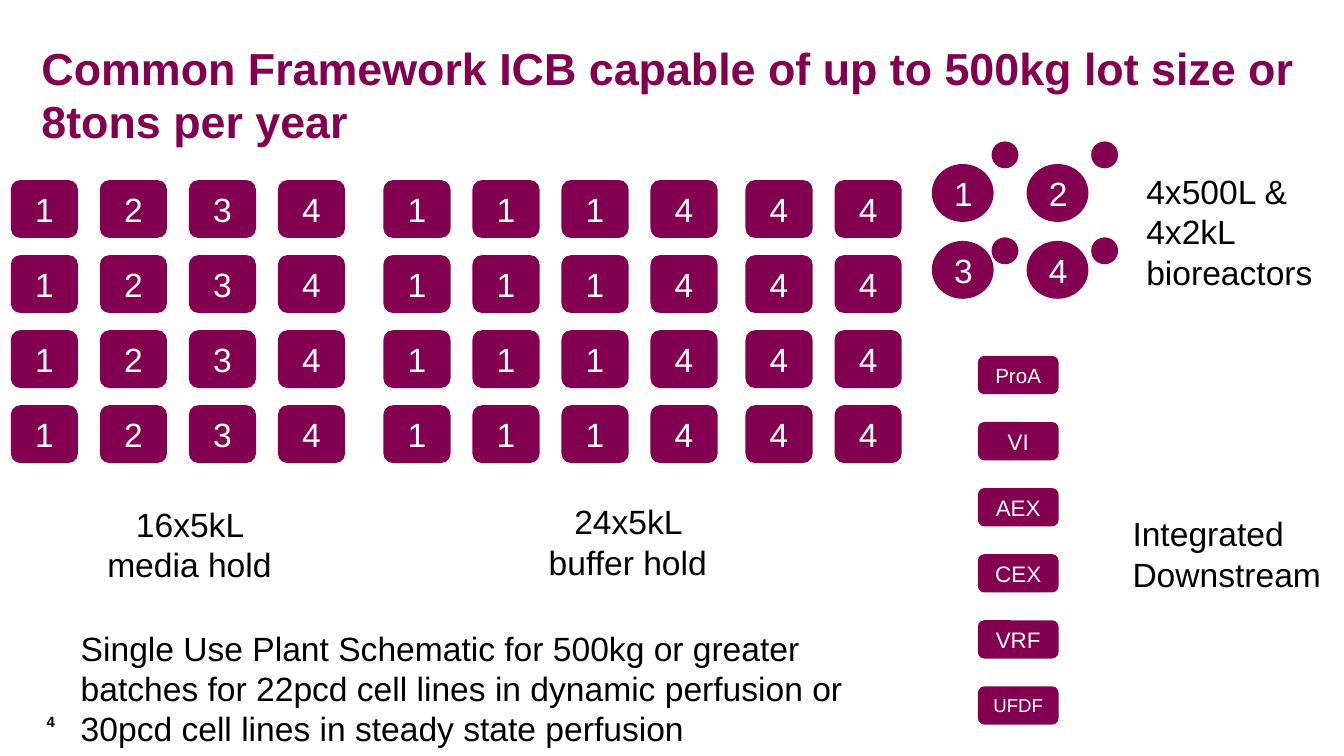
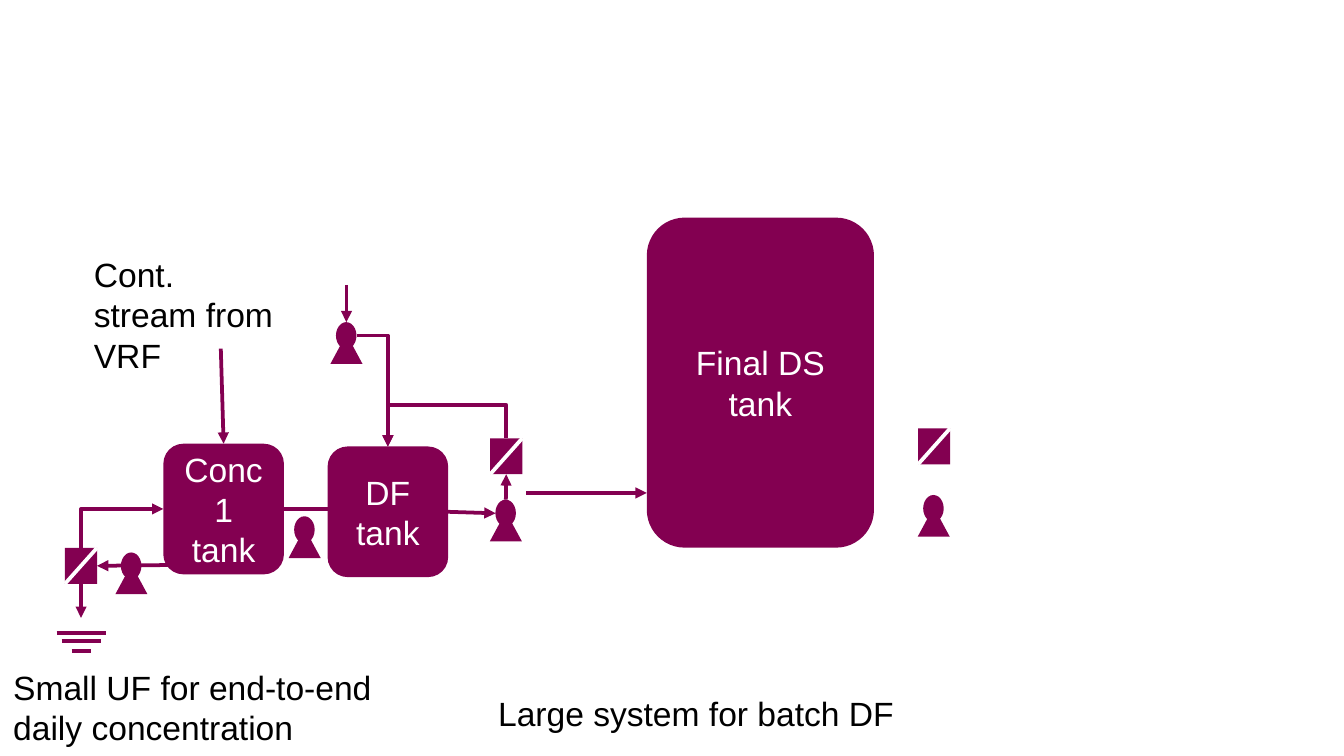
from lxml import etree
from pptx import Presentation
from pptx.dml.color import RGBColor
from pptx.enum.shapes import MSO_CONNECTOR, MSO_SHAPE
from pptx.enum.text import MSO_ANCHOR, PP_ALIGN
from pptx.oxml.ns import qn
from pptx.util import Pt

COLORS = {"plum": "830051", "white": "FFFFFF", "black": "000000"}
FONT = "Arial"
ROUND, OVAL = MSO_SHAPE.ROUNDED_RECTANGLE, MSO_SHAPE.OVAL
RECT, TRIANGLE = MSO_SHAPE.RECTANGLE, MSO_SHAPE.ISOSCELES_TRIANGLE
STRAIGHT, ELBOW = MSO_CONNECTOR.STRAIGHT, MSO_CONNECTOR.ELBOW
LEFT, CENTER = PP_ALIGN.LEFT, PP_ALIGN.CENTER
TOP, MIDDLE = MSO_ANCHOR.TOP, MSO_ANCHOR.MIDDLE
TOP_SIDE, BOTTOM_SIDE, RIGHT_SIDE = 0, 2, 3
HOLD_W, HOLD_H, HOLD_DX, HOLD_DY = 36, 31, 47.7, 40.2


def rgb(name):
    """Return a named palette colour."""
    return RGBColor.from_string(COLORS[name])


def write(tf, text, size, color="black", bold=False, align=LEFT, anchor=TOP, inset=None):
    """Fill a text frame and format its runs."""
    tf.word_wrap = True
    tf.vertical_anchor = anchor
    if inset is not None:
        tf.margin_left = tf.margin_right = tf.margin_top = tf.margin_bottom = Pt(inset)
    tf.text = text
    for p in tf.paragraphs:
        p.alignment = align
        for r in p.runs:
            r.font.name, r.font.size, r.font.bold = FONT, Pt(size), bold
            r.font.color.rgb = rgb(color)


def add_title(s, text):
    """Place and format the slide title."""
    title = s.shapes.title
    title.left, title.top, title.width, title.height = Pt(15), Pt(18), Pt(690.5), Pt(39.6)
    write(title.text_frame, text, 24, "plum", bold=True)


def add_label(shapes, text, x, y, w, h, size=18, **style):
    """Add a text box."""
    box = shapes.add_textbox(Pt(x), Pt(y), Pt(w), Pt(h))
    write(box.text_frame, text, size, **style)


def add_block(shapes, kind, x, y, w, h, text="", size=18, inset=None):
    """Add a plum shape with optional centred white text."""
    sp = shapes.add_shape(kind, Pt(x), Pt(y), Pt(w), Pt(h))
    sp.shadow.inherit = False
    sp.fill.solid()
    sp.fill.fore_color.rgb = rgb("plum")
    sp.line.fill.background()
    if text:
        write(sp.text_frame, text, size, "white", align=CENTER, anchor=MIDDLE, inset=inset)
    return sp


def add_line(shapes, x1, y1, x2, y2, color="plum", arrow=False, kind=STRAIGHT):
    """Add a two-point line, with an arrowhead at its end if asked."""
    line = shapes.add_connector(kind, Pt(x1), Pt(y1), Pt(x2), Pt(y2))
    line.line.color.rgb = rgb(color)
    line.line.width = Pt(2)
    if arrow:
        etree.SubElement(line.line._get_or_add_ln(), qn("a:tailEnd"), type="triangle")
    etree.SubElement(line._element.spPr, qn("a:effectLst"))
    return line


def add_elbow(shapes, x1, y1, x2, y2, rotation=0, preset="bentConnector2", adjust=None):
    """Add a bent arrow, given by its corners before rotation."""
    elbow = add_line(shapes, x1, y1, x2, y2, arrow=True, kind=ELBOW)
    elbow.rotation = rotation
    geometry = elbow._element.spPr.find(qn("a:prstGeom"))
    geometry.set("prst", preset)
    if adjust is not None:
        guides = geometry.find(qn("a:avLst"))
        etree.SubElement(guides, qn("a:gd"), name="adj1", fmla=f"val {adjust}")


def add_holds(s, x, columns):
    """Add four rows of hold tanks, one column per character."""
    shapes = s.shapes.add_group_shape().shapes
    for col, number in enumerate(columns):
        for row in range(4):
            add_block(shapes, ROUND, x + col * HOLD_DX, 96.5 + row * HOLD_DY,
                      HOLD_W, HOLD_H, number)


def add_pump(s, x, y):
    """Add a pump: a round head on a triangular foot."""
    shapes = s.shapes.add_group_shape().shapes
    add_block(shapes, OVAL, x + 3, y, 11, 14.4)
    add_block(shapes, TRIANGLE, x, y + 6.4, 17.2, 16)


def add_filter(s, x, y):
    """Add a filter: a square cut by a white diagonal."""
    shapes = s.shapes.add_group_shape().shapes
    body = add_block(shapes, RECT, x, y, 17.2, 19.3)
    add_line(shapes, x + 17.2, y, x, y + 19.3, "white")
    return body


def build_plant(prs):
    """Build the plant schematic slide."""
    s = prs.slides.add_slide(prs.slide_layouts[5])
    add_title(s, "Common Framework ICB capable of up to 500kg lot size or 8tons per year")
    add_label(s.shapes, "4", 25, 381.6, 31, 13, size=8, bold=True, inset=0)

    reactors = s.shapes.add_group_shape().shapes
    for i in range(4):
        row, col = divmod(i, 2)
        add_block(reactors, OVAL, 499.2 + col * 50.8, 87.9 + row * 41.2, 33.1, 31, str(i + 1))
        add_block(s.shapes, OVAL, 531.2 + col * 53.4, 75.8 + row * 51.4, 14.4, 14.4)

    steps = [("ProA", 11), ("VI", 12), ("AEX", 12), ("CEX", 12), ("VRF", 12), ("UFDF", 10)]
    for i, (step, size) in enumerate(steps):
        add_block(s.shapes, ROUND, 523.9, 190.7 + i * 35.4, 43.2, 20.5, step, size, inset=2)

    for x, columns in [(5.8, "1234"), (205.4, "1114"), (399.4, "44")]:
        add_holds(s, x, columns)

    add_label(s.shapes, "4x500L &\n4x2kL bioreactors", 607, 88, 106, 72.7)
    add_label(s.shapes, "Integrated Downstream", 599.6, 271.4, 121, 51)
    add_label(s.shapes, "16x5kL media hold", 41, 266.4, 121, 51, align=CENTER)
    add_label(s.shapes, "24x5kL buffer hold", 275.8, 265, 121, 51, align=CENTER)
    add_label(s.shapes, "Single Use Plant Schematic for 500kg or greater batches for 22pcd cell "
              "lines in dynamic perfusion or 30pcd cell lines in steady state perfusion",
              36.2, 332.6, 422.6, 72.7)


def build_filtration(prs):
    """Build the ultrafiltration and diafiltration flow slide."""
    s = prs.slides.add_slide(prs.slide_layouts[6])
    shapes = s.shapes
    conc = add_block(shapes, ROUND, 87.5, 237.7, 64.6, 70, "Conc 1 tank")
    transfer = add_line(shapes, 152.1, 272.7, 196.6, 272.7, arrow=True)
    transfer.begin_connect(conc, RIGHT_SIDE)
    df = add_block(shapes, ROUND, 175.5, 239.2, 64.6, 70, "DF tank")
    add_block(shapes, ROUND, 346.5, 116.6, 121.7, 176.8, "Final DS tank")

    uf_filter = add_filter(s, 34.8, 293.5)
    df_filter = add_filter(s, 262.6, 234.8)
    add_filter(s, 491.8, 229.5)
    for x, y in [(61.8, 296), (177, 172.6), (491.6, 265.2), (262.4, 267.7), (154.6, 276.6)]:
        add_pump(s, x, y)

    permeate = add_line(shapes, 43.4, 312.8, 43.4, 331, arrow=True)
    permeate.begin_connect(uf_filter, BOTTOM_SIDE)
    feed = add_line(shapes, 109, 302.5, 52, 303.1, arrow=True)
    feed.end_connect(uf_filter, RIGHT_SIDE)
    df_feed = add_line(shapes, 240.1, 274.2, 265.5, 275, arrow=True)
    df_feed.begin_connect(df, RIGHT_SIDE)
    df_lift = add_line(shapes, 271, 267.7, 271.2, 254.1, arrow=True)
    df_lift.end_connect(df_filter, BOTTOM_SIDE)
    stream = add_line(shapes, 118.3, 186.8, 119.8, 237.7, arrow=True)
    stream.end_connect(conc, TOP_SIDE)
    add_line(shapes, 282, 264.1, 346.5, 264.1, arrow=True)
    add_line(shapes, 185.6, 152.6, 185.6, 172.6, arrow=True)

    add_elbow(shapes, 75.85, 305.15, 55.05, 261.05, rotation=90)
    add_elbow(shapes, 191, 179.8, 207.8, 239.2)
    add_elbow(shapes, 241.7, 268.7, 237.3, 205.3, rotation=270,
              preset="bentConnector3", adjust=-410100)

    drain = shapes.add_group_shape().shapes
    for y, width in [(339, 26.4), (343.4, 21), (348.8, 10.4)]:
        add_line(drain, 43.6 - width / 2, y, 43.6 + width / 2, y)

    add_label(shapes, "Cont. stream from VRF", 43.2, 132.4, 114.5, 72.7)
    add_label(shapes, "Small UF for end-to-end daily concentration", 0, 353.6, 240.5, 51)
    add_label(shapes, "Large system for batch DF", 259.8, 367.6, 240.5, 29)


def main():
    """Create the presentation."""
    prs = Presentation()
    prs.slide_width, prs.slide_height = Pt(720), Pt(405)
    build_plant(prs)
    build_filtration(prs)
    prs.save("out.pptx")


if __name__ == "__main__":
    main()
